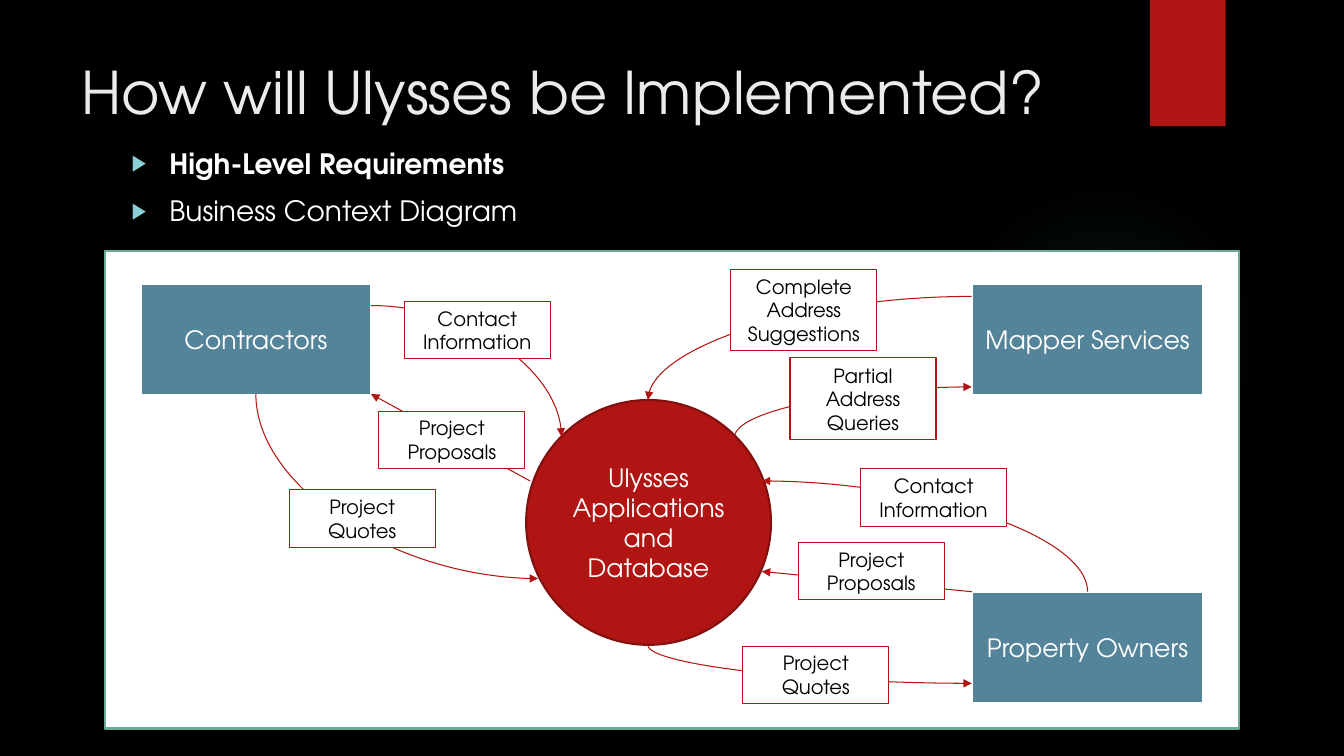
"""Build the business context diagram slide."""
from lxml import etree
from pptx import Presentation
from pptx.dml import color
from pptx.enum import shapes, text
from pptx.oxml import ns, parse_xml
from pptx.util import Cm, Pt

HUES = {
    "black": "000000", "white": "FFFFFF", "title": "EBEBEB", "red": "B01513",
    "dark": "82100E", "blue": "54849A", "green": "6AAC90", "aqua": "8AD0D6",
    "glow": "50B9C1",
}
FONT = "TeX Gyre Adventor"
RECT = shapes.MSO_SHAPE.RECTANGLE
OVAL = shapes.MSO_SHAPE.OVAL


def hue(name):
    return color.RGBColor.from_string(HUES[name])


def add(parent, tag, **attrs):
    node = etree.SubElement(parent, ns.qn(tag))
    for key, value in attrs.items():
        node.set(key, str(value))
    return node


class Deck:
    def __init__(self, wide, high):
        self.show = Presentation()
        self.show.slide_width, self.show.slide_height = Cm(wide), Cm(high)
        self.slide = self.show.slides.add_slide(self.show.slide_layouts[6])
        self.items = self.slide.shapes
        fill = self.slide.background.fill
        fill.solid()
        fill.fore_color.rgb = hue("black")

    def style(self, para, size, ink, bold=False):
        for run in para.runs:
            font = run.font
            font.name, font.size, font.bold = FONT, Pt(size), bold
            font.color.rgb = hue(ink)

    def shape(self, kind, box, fill, line=None, width=1, words="", size=18, ink="white"):
        item = self.items.add_shape(kind, *map(Cm, box))
        item.shadow.inherit = False
        item.fill.solid()
        item.fill.fore_color.rgb = hue(fill)
        if line:
            item.line.color.rgb = hue(line)
            item.line.width = Pt(width)
        else:
            item.line.fill.background()
        if words:
            frame = item.text_frame
            frame.text = words
            frame.word_wrap = True
            frame.vertical_anchor = text.MSO_ANCHOR.MIDDLE
            para = frame.paragraphs[0]
            para.alignment = text.PP_ALIGN.CENTER
            self.style(para, size, ink)
        return item

    def glow(self, box, tint, stops):
        item = self.shape(OVAL, box, tint)
        marks = "".join(
            f'<a:gs pos="{pos * 1000}"><a:srgbClr val="{HUES[tint]}">'
            f'<a:alpha val="{alpha * 1000}"/></a:srgbClr></a:gs>'
            for pos, alpha in stops)
        grad = parse_xml(
            f'<a:gradFill {ns.nsdecls("a")}><a:gsLst>{marks}</a:gsLst>'
            '<a:path path="circle"><a:fillToRect l="50000" t="50000" '
            'r="50000" b="50000"/></a:path></a:gradFill>')
        props = item.element.spPr
        props.replace(props.find(ns.qn("a:solidFill")), grad)

    def words(self, box, lines, size, ink):
        frame = self.items.add_textbox(*map(Cm, box)).text_frame
        frame.word_wrap = True
        frame.text = "\n".join(line for line, bold in lines)
        for para, (line, bold) in zip(frame.paragraphs, lines):
            self.style(para, size, ink, bold)
        return frame.paragraphs

    def bullet(self, para, tint):
        para.space_before = Pt(10)
        props = para._p.get_or_add_pPr()
        props.set("marL", str(Cm(0.95)))
        props.set("indent", str(-Cm(0.95)))
        add(add(props, "a:buClr"), "a:srgbClr", val=HUES[tint])
        add(props, "a:buSzPct", val=80000)
        add(props, "a:buFont", typeface="Arial")
        add(props, "a:buChar", char="▶")

    def arrow(self, start, end, tip="tail", curve=False):
        kind = shapes.MSO_CONNECTOR.CURVE if curve else shapes.MSO_CONNECTOR.STRAIGHT
        item = self.items.add_connector(kind, *map(Cm, start + end))
        item.line.color.rgb = hue("red")
        item.line.width = Pt(0.75)
        props = item.element.spPr
        if curve:
            props.find(ns.qn("a:prstGeom")).set("prst", "curvedConnector2")
        add(props.find(ns.qn("a:ln")), f"a:{tip}End", type="triangle")
        add(props, "a:effectLst")


deck = Deck(33.87, 19.05)
deck.glow((23.9, 4.65, 7.82, 7.82), "glow", [(0, 7), (36, 6), (69, 0)])
deck.shape(RECT, (28.98, 0, 1.91, 3.18), "red")
deck.words((1.8, 1.27, 26.14, 3.89), [("How will Ulysses be Implemented?", False)], 42, "title")
topics = [("High-Level Requirements", True), ("Business Context Diagram", False)]
for para in deck.words((3.07, 3.56, 24.84, 2.36), topics, 20, "white"):
    deck.bullet(para, "aqua")

deck.shape(RECT, (2.64, 6.32, 28.58, 12.04), "white", "green", 1.5)
deck.shape(OVAL, (13.26, 10.08, 6.17, 6.17), "red", "dark", 1.5,
           "Ulysses Applications and Database")

LEFT, RIGHT, TOP, LOW = 3.53, 24.49, 7.14, 14.91
for x, y, name in [(LEFT, TOP, "Contractors"), (RIGHT, LOW, "Property Owners"),
                   (RIGHT, TOP, "Mapper Services")]:
    deck.shape(RECT, (x, y, 5.84, 2.82), "blue", "white", 2.25, name)

# Each curve leaves its first point level and meets its second upright.
for level, upright, tip in [
    ((9.35, 7.7), (14.15, 11), "tail"),
    ((13.56, 14.58), (6.45, 9.93), "head"),
    ((19.2, 12.12), (27.41, LOW), "head"),
    ((RIGHT, 17.22), (16.33, 16.26), "head"),
    ((RIGHT, 7.47), (16.33, 10.08), "tail"),
    ((RIGHT, 9.75), (18.52, 11), "head"),
]:
    deck.arrow(level, upright, tip, curve=True)
deck.arrow((13.36, 12.12), (9.35, 9.93))
deck.arrow((RIGHT, LOW), (19.2, 14.4))

for x, y, name in [
    (10.19, 7.59, "Contact Information"), (9.55, 10.36, "Project Proposals"),
    (7.29, 12.34, "Project Quotes"), (18.72, 16.28, "Project Quotes"),
    (20.12, 13.67, "Project Proposals"), (21.69, 11.81, "Contact Information"),
    (19.91, 9.02, "Partial Address Queries"),
    (18.42, 6.78, "Complete Address Suggestions"),
]:
    high = 0.84 + 0.61 * name.count(" ")
    deck.shape(RECT, (x, y, 3.68, high), "white", "red", 0.75, name, 14, "black")

deck.show.save("out.pptx")
